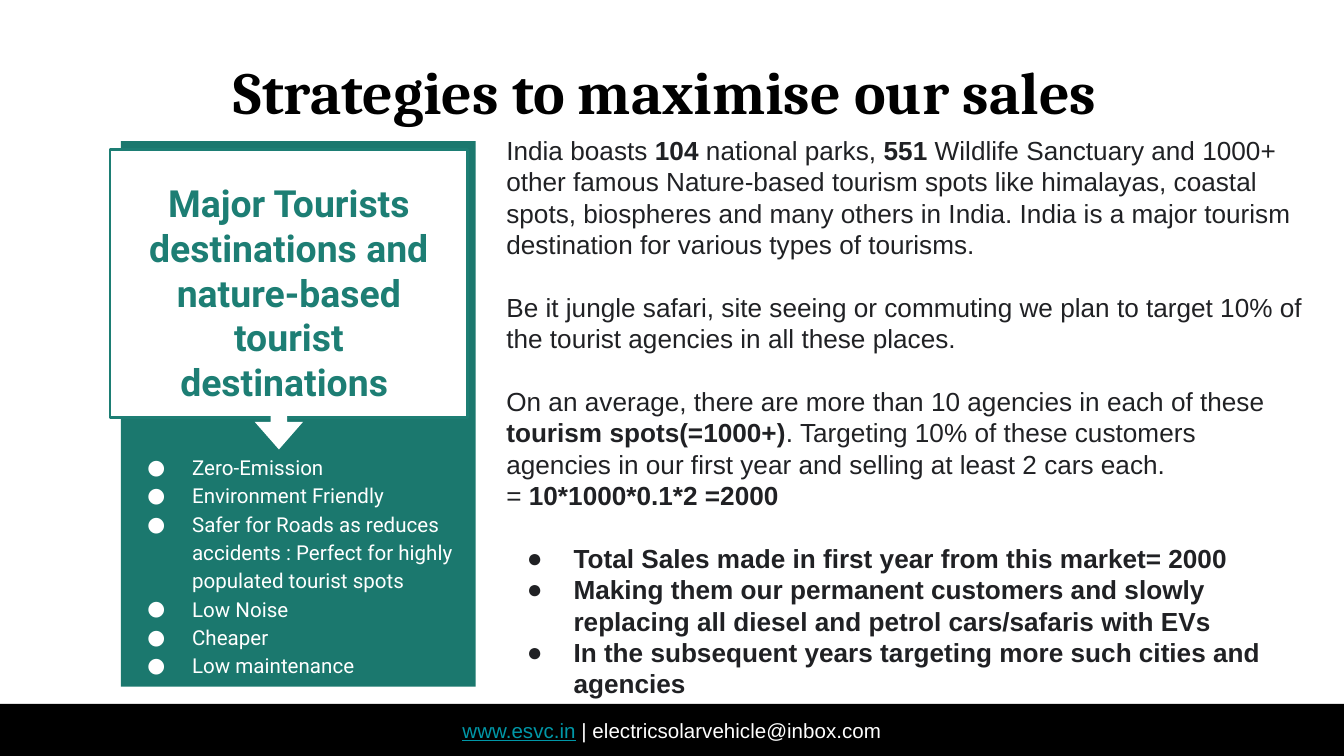
from dataclasses import dataclass

import pptx
import pptx.dml.color
import pptx.enum.shapes
import pptx.enum.text
import pptx.oxml
import pptx.oxml.ns
import pptx.util

Pt = pptx.util.Pt
RGBColor = pptx.dml.color.RGBColor
ShapeKind = pptx.enum.shapes.MSO_SHAPE
Align = pptx.enum.text.PP_ALIGN
Anchor = pptx.enum.text.MSO_ANCHOR

BLACK = RGBColor(0x00, 0x00, 0x00)
WHITE = RGBColor(0xFF, 0xFF, 0xFF)
PANEL_GREEN = RGBColor(0x1B, 0x78, 0x6E)
CARD_GREEN = RGBColor(0x1D, 0x7E, 0x74)
LINK_TEAL = RGBColor(0x00, 0x97, 0xA7)
BODY_GREY = RGBColor(0x20, 0x21, 0x24)
BODY_GAP = 16.8


@dataclass(frozen=True)
class Box:
    left: float
    top: float
    width: float
    height: float

    def lengths(self) -> tuple:
        return Pt(self.left), Pt(self.top), Pt(self.width), Pt(self.height)


@dataclass(frozen=True)
class Style:
    font: str
    size: float
    color: RGBColor
    align: Align = Align.LEFT
    line_spacing: float = 1.0
    bullet_indent: float = 24


@dataclass(frozen=True)
class Run:
    text: str
    bold: bool = False
    color: RGBColor | None = None
    underline: bool = False


@dataclass(frozen=True)
class Block:
    runs: tuple[Run, ...]
    bullet: bool = False
    gap: float = 0


def add_bullet(paragraph, style: Style) -> None:
    properties = paragraph._p.get_or_add_pPr()
    properties.set("marL", str(Pt(36)))
    properties.set("indent", str(-Pt(style.bullet_indent)))
    namespace = pptx.oxml.ns.nsdecls("a")
    for xml in (
        f'<a:buClr {namespace}><a:srgbClr val="{style.color}"/></a:buClr>',
        f'<a:buFont {namespace} typeface="{style.font}"/>',
        f'<a:buChar {namespace} char="●"/>',
    ):
        properties.append(pptx.oxml.parse_xml(xml))


def write_text(shape, blocks: list[Block], style: Style, anchor: Anchor = Anchor.TOP) -> None:
    frame = shape.text_frame
    frame.word_wrap = True
    frame.vertical_anchor = anchor
    frame.margin_left = frame.margin_right = Pt(7.2)
    frame.margin_top = frame.margin_bottom = Pt(7.2)
    for index, block in enumerate(blocks):
        paragraph = frame.add_paragraph() if index else frame.paragraphs[0]
        paragraph.alignment = style.align
        paragraph.line_spacing = style.line_spacing
        if block.gap:
            paragraph.space_before = Pt(block.gap)
        if block.bullet:
            add_bullet(paragraph, style)
        paragraph.font.name = style.font
        paragraph.font.size = Pt(style.size)
        paragraph.font.color.rgb = style.color
        same_weight = len({run.bold for run in block.runs}) == 1
        if same_weight:
            paragraph.font.bold = block.runs[0].bold
        for item in block.runs:
            run = paragraph.add_run()
            run.text = item.text
            if not same_weight:
                run.font.bold = item.bold
            if item.color is not None:
                run.font.color.rgb = item.color
            if item.underline:
                run.font.underline = True


def add_text(slide, box: Box, blocks: list[Block], style: Style) -> None:
    write_text(slide.shapes.add_textbox(*box.lengths()), blocks, style)


def add_shape(slide, kind: ShapeKind, box: Box, fill: RGBColor, line: RGBColor | None = None):
    shape = slide.shapes.add_shape(kind, *box.lengths())
    shape.shadow.inherit = False
    shape.fill.solid()
    shape.fill.fore_color.rgb = fill
    if line is None:
        shape.line.fill.background()
    else:
        shape.line.color.rgb = line
        shape.line.width = Pt(1.5)
    return shape


TITLE = [Block((Run("Strategies to maximise our sales ", bold=True),))]
CARD_HEADING = [
    Block((Run("Major Tourists destinations and nature-based tourist destinations ", bold=True),))
]
BENEFITS = [
    Block((Run(text),), bullet=True)
    for text in (
        "Zero-Emission",
        "Environment Friendly",
        "Safer for Roads as reduces accidents : Perfect for highly populated tourist spots",
        "Low Noise",
        "Cheaper",
        "Low maintenance",
    )
]
MARKET = [
    Block((
        Run("India boasts "),
        Run("104 ", bold=True),
        Run("national parks, "),
        Run("551 ", bold=True),
        Run("Wildlife Sanctuary and 1000+ other famous Nature-based tourism spots like "
            "himalayas, coastal spots, biospheres and many others in India. India is a major "
            "tourism destination for various types of tourisms."),
    )),
    Block((Run("Be it jungle safari, site seeing or commuting we plan to target 10% of the "
               "tourist agencies in all these places."),), gap=BODY_GAP),
    Block((
        Run("On an average, there are more than 10 agencies in each of these "),
        Run("tourism spots(=1000+)", bold=True),
        Run(". Targeting 10% of these customers agencies in our first year and selling at "
            "least 2 cars each."),
    ), gap=BODY_GAP),
    Block((Run("= "), Run("10*1000*0.1*2 =2000", bold=True))),
]
GOALS = [
    Block((Run(text, bold=True),), bullet=True, gap=0 if index else BODY_GAP)
    for index, text in enumerate((
        "Total Sales made in first year from this market= 2000",
        "Making them our permanent customers and slowly replacing all diesel and petrol "
        "cars/safaris with EVs",
        "In the subsequent years targeting more such cities and agencies",
    ))
]
CONTACT = [
    Block((
        Run("www.esvc.in", color=LINK_TEAL, underline=True),
        Run(" | electricsolarvehicle@inbox.com"),
    ))
]


def main() -> None:
    presentation = pptx.Presentation()
    presentation.slide_width = Pt(720)
    presentation.slide_height = Pt(405)
    slide = presentation.slides.add_slide(presentation.slide_layouts[6])

    footer = add_shape(slide, ShapeKind.RECTANGLE, Box(0, 377.1, 720, 27.9), BLACK)
    write_text(footer, CONTACT, Style("Arial", 11, WHITE, Align.CENTER), Anchor.MIDDLE)
    add_text(slide, Box(71.3, 22.3, 577.4, 53.3), TITLE, Style("Cambria", 32, BLACK, Align.CENTER))

    add_shape(slide, ShapeKind.RECTANGLE, Box(64.8, 75.6, 190, 292.3), PANEL_GREEN)
    add_shape(slide, ShapeKind.RECTANGLE, Box(59, 79.9, 191.5, 144), WHITE, CARD_GREEN)
    add_text(slide, Box(69.8, 89.3, 170, 48.2), CARD_HEADING,
             Style("Roboto", 20, CARD_GREEN, Align.CENTER))
    arrow = add_shape(slide, ShapeKind.RIGHT_ARROW, Box(135.4, 213.8, 28, 26), WHITE)
    arrow.rotation = 90
    arrow.adjustments[0] = 0.34
    arrow.adjustments[1] = 0.57
    add_text(slide, Box(59.8, 234.7, 190, 126.7), BENEFITS,
             Style("Roboto", 11, WHITE, line_spacing=1.15))

    add_text(slide, Box(264.2, 64.8, 443.5, 334.8), MARKET + GOALS,
             Style("Arial", 14, BODY_GREY, bullet_indent=25))
    presentation.save("out.pptx")


if __name__ == "__main__":
    main()
